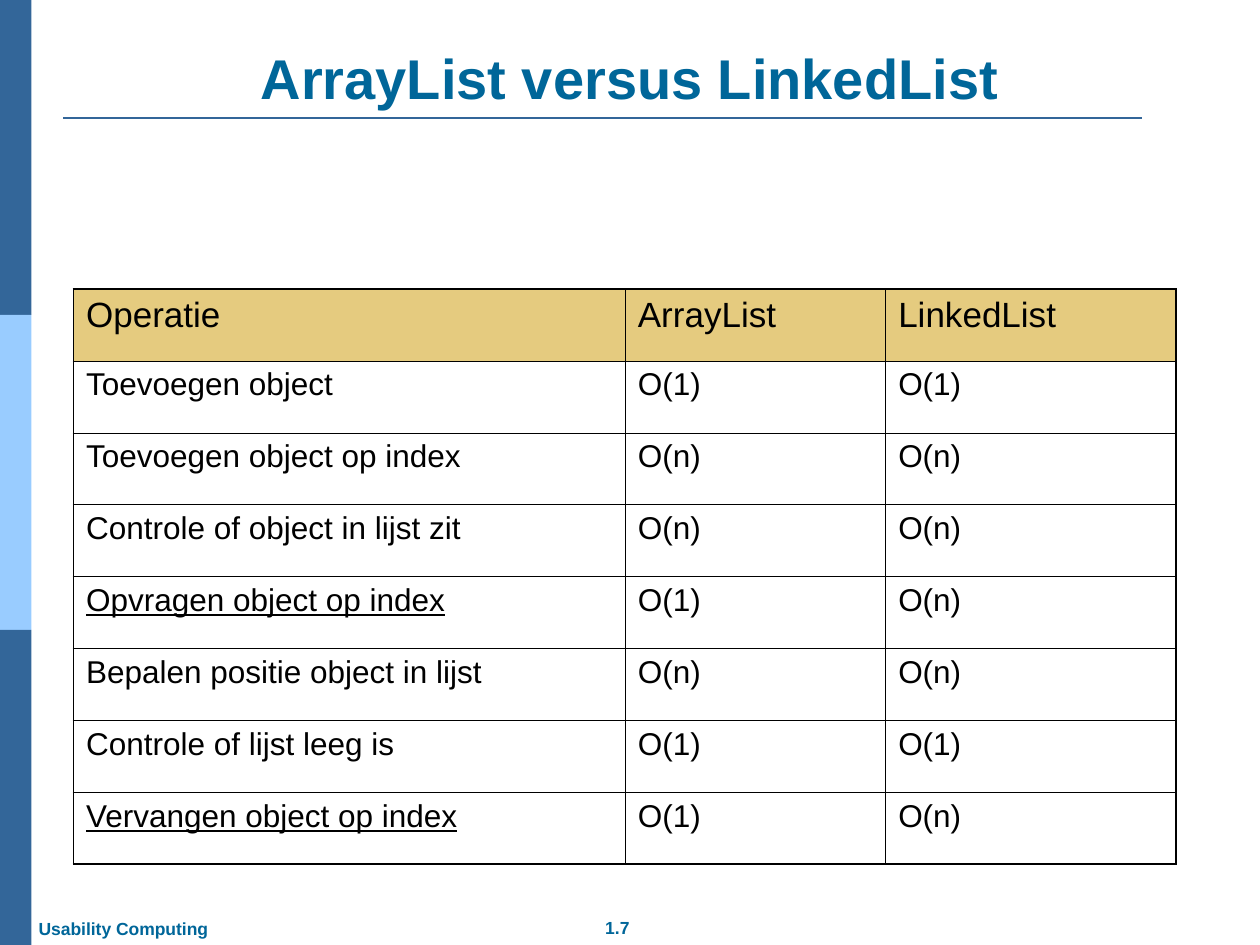
import pptx
import pptx.dml.color
import pptx.enum.shapes
import pptx.enum.text
import pptx.oxml.ns
import pptx.util
from lxml import etree

Pt = pptx.util.Pt
ALIGN = pptx.enum.text.PP_ALIGN
ANCHOR = pptx.enum.text.MSO_ANCHOR
NAVY, SKY, TEAL, GOLD, BLACK = "336699", "99CCFF", "006699", "CC9900", "000000"
THIN, THICK = 0.45, 1.08

HEADINGS = ("Operatie", "ArrayList", "LinkedList")
OPERATIONS = (
    ("Toevoegen object", "O(1)", "O(1)"),
    ("Toevoegen object op index", "O(n)", "O(n)"),
    ("Controle of object in lijst zit", "O(n)", "O(n)"),
    ("Opvragen object op index", "O(1)", "O(n)"),
    ("Bepalen positie object in lijst", "O(n)", "O(n)"),
    ("Controle of lijst leeg is", "O(1)", "O(1)"),
    ("Vervangen object op index", "O(1)", "O(n)"),
)
UNDERLINED = ("Opvragen object op index", "Vervangen object op index")


def color(value):
    return pptx.dml.color.RGBColor.from_string(value)


def add_element(parent, tag, **attributes):
    return etree.SubElement(parent, pptx.oxml.ns.qn(tag), attributes)


def write_text(frame, text, size, hue=BLACK, bold=False, underline=False, align=ALIGN.LEFT):
    paragraph = frame.paragraphs[0]
    paragraph.alignment = align
    run = paragraph.add_run()
    run.text = text
    font = run.font
    font.name, font.size, font.bold, font.underline = "Arial", Pt(size), bold, underline
    font.color.rgb = color(hue)


def add_text_box(slide, box, text, size, wrap=False, anchor=ANCHOR.TOP, **text_format):
    frame = slide.shapes.add_textbox(*map(Pt, box)).text_frame
    frame.word_wrap = wrap
    frame.vertical_anchor = anchor
    write_text(frame, text, size, **text_format)


def add_side_bar(slide, left, top, width, height):
    band_height = height / 3
    for index, hue in enumerate((NAVY, SKY, NAVY)):
        band = slide.shapes.add_shape(
            pptx.enum.shapes.MSO_SHAPE.RECTANGLE,
            Pt(left), Pt(top + index * band_height), Pt(width), Pt(band_height))
        band.shadow.inherit = False
        band.fill.solid()
        band.fill.fore_color.rgb = color(hue)
        band.line.fill.background()


def add_title(slide, left, top, width, height):
    add_text_box(slide, (left, top, width, height), "ArrayList versus LinkedList", 32,
                 wrap=True, anchor=ANCHOR.BOTTOM, hue=TEAL, bold=True, align=ALIGN.CENTER)
    rule_top = top + height + 0.5
    rule = slide.shapes.add_connector(
        pptx.enum.shapes.MSO_CONNECTOR.STRAIGHT,
        Pt(left), Pt(rule_top), Pt(left + 616.5), Pt(rule_top))
    rule.line.color.rgb = color(NAVY)
    rule.line.width = Pt(1.5)
    add_element(rule._element.spPr, "a:effectLst")


def add_footer(slide, left, top):
    add_text_box(slide, (left, top, 111, 19.5), "Usability Computing", 10, hue=TEAL, bold=True)
    add_text_box(slide, (left + 302.5, top - 0.7, 70.5, 19.5), "1.7", 10,
                 hue=TEAL, bold=True, align=ALIGN.CENTER)


def set_borders(cell, **widths):
    """Draw the cell's edges; widths maps L, R, T and B to points."""
    properties = cell._tc.get_or_add_tcPr()
    for side in "LRTB":
        line = add_element(properties, f"a:ln{side}", w=str(int(Pt(widths[side]))))
        add_element(add_element(line, "a:solidFill"), "a:srgbClr", val=BLACK)


def fill_translucent(cell, hue, percent):
    cell.fill.solid()
    cell.fill.fore_color.rgb = color(hue)
    hue_element = cell._tc.tcPr.find(
        f"{pptx.oxml.ns.qn('a:solidFill')}/{pptx.oxml.ns.qn('a:srgbClr')}")
    add_element(hue_element, "a:alpha", val=str(percent * 1000))


def add_comparison_table(slide, left, top, column_widths, row_height):
    rows = (HEADINGS,) + OPERATIONS
    last_row, last_column = len(rows) - 1, len(HEADINGS) - 1
    table = slide.shapes.add_table(
        len(rows), len(HEADINGS), Pt(left), Pt(top),
        Pt(sum(column_widths)), Pt(row_height * len(rows))).table
    table.first_row = table.horz_banding = False
    for column, width in zip(table.columns, column_widths):
        column.width = Pt(width)
    for row_index, texts in enumerate(rows):
        table.rows[row_index].height = Pt(row_height)
        is_header = row_index == 0
        for column_index, text in enumerate(texts):
            cell = table.cell(row_index, column_index)
            set_borders(cell,
                        L=THICK if column_index == 0 else THIN,
                        R=THICK if column_index == last_column else THIN,
                        T=THICK if is_header else THIN,
                        B=THICK if row_index == last_row else THIN)
            if is_header:
                fill_translucent(cell, GOLD, 50)
            else:
                cell.fill.background()
            write_text(cell.text_frame, text, 20 if is_header else 18,
                       underline=text in UNDERLINED)


def main():
    presentation = pptx.Presentation()
    presentation.slide_width, presentation.slide_height = Pt(720), Pt(540)
    slide = presentation.slides.add_slide(presentation.slide_layouts[6])
    add_side_bar(slide, 0, 0, 18, 540)
    add_title(slide, 36, 21.6, 648, 45.4)
    add_comparison_table(slide, 42, 165.2, (315.3, 148.8, 166), 41.1)
    add_footer(slide, 15, 521.3)
    presentation.save("out.pptx")


if __name__ == "__main__":
    main()
